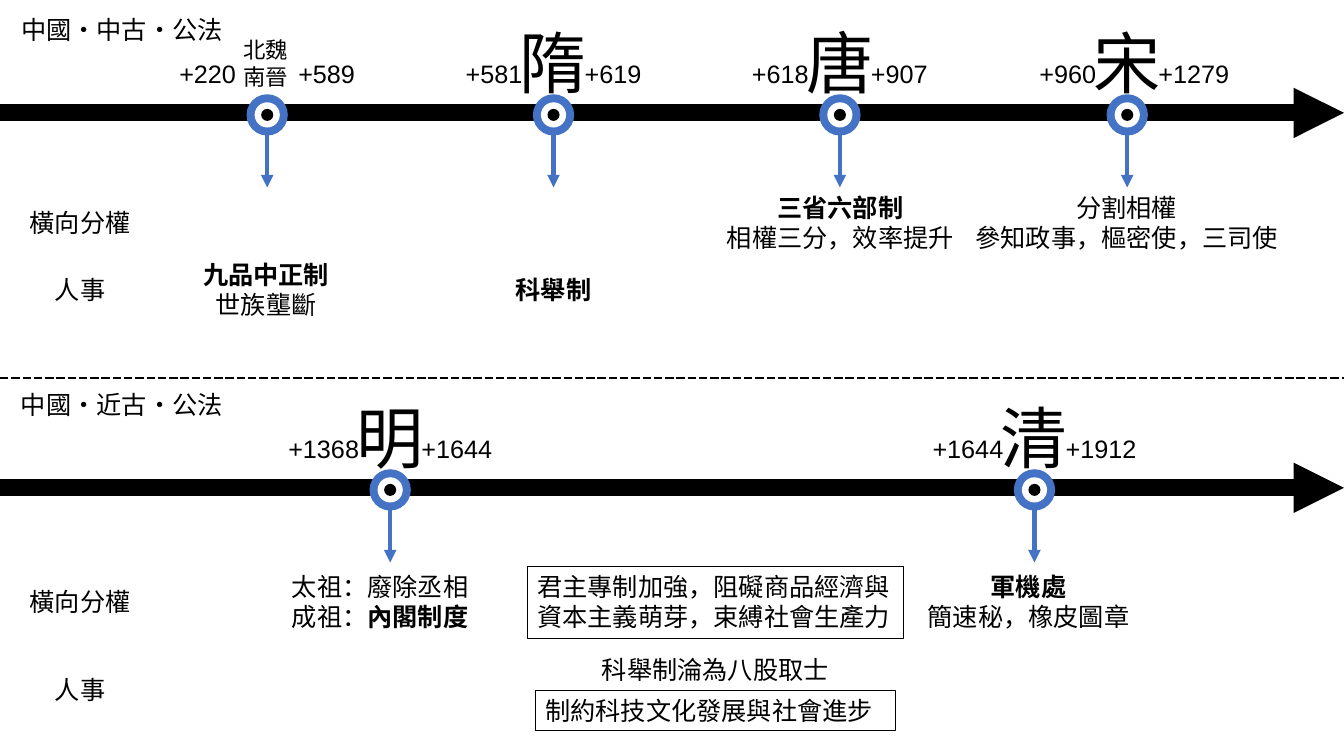
from dataclasses import dataclass

from pptx import Presentation
from pptx.dml.color import RGBColor
from pptx.enum import dml, shapes, text
from pptx.oxml import ns
from pptx.util import Inches, Pt
from lxml import etree

BLACK, WHITE, BLUE = "000000", "FFFFFF", "4472C4"
HAN, LATIN = "Noto Sans CJK SC", "Arial"
WIDTH, HEIGHT = 13.33, 7.5
TEXT_H, RING = 0.4, 0.41
LEFT, CENTER = text.PP_ALIGN.LEFT, text.PP_ALIGN.CENTER


@dataclass
class Dynasty:
    name: str
    start: str
    end: str
    x: float
    axis: float


@dataclass
class Note:
    """Lines are split by a newline, runs by |, and a leading * marks bold."""
    words: str
    x: float
    y: float
    w: float
    boxed: bool = False


UPPER, LOWER = 1.12, 4.84
DYNASTIES = [
    Dynasty("北魏\n南晉", "+220", "+589", 2.65, UPPER),
    Dynasty("隋", "+581", "+619", 5.49, UPPER),
    Dynasty("唐", "+618", "+907", 8.33, UPPER),
    Dynasty("宋", "+960", "+1279", 11.18, UPPER),
    Dynasty("明", "+1368", "+1644", 3.87, LOWER),
    Dynasty("清", "+1644", "+1912", 10.26, LOWER),
]
NOTES = [
    Note("橫向分權", 0.19, 2.01, 1.21),
    Note("*三省六部制\n相權三分，效率提升", 7.1, 1.86, 2.47),
    Note("分割相權\n參知政事，樞密使，三司使", 9.56, 1.86, 3.23),
    Note("人事", 0.44, 2.67, 0.71),
    Note("*九品中正制\n世族壟斷", 1.91, 2.52, 1.46),
    Note("*科舉制", 5.01, 2.67, 0.96),
    Note("橫向分權", 0.19, 5.77, 1.21),
    Note("太祖：廢除丞相\n成祖：|*內閣制度", 2.78, 5.62, 1.98),
    Note("*軍機處\n簡速秘，橡皮圖章", 9.09, 5.62, 2.22),
    Note("人事", 0.44, 6.64, 0.71),
    Note("科舉制淪為八股取士", 5.86, 6.44, 2.47),
    Note("制約科技文化發展與社會進步", 5.31, 6.85, 3.57, True),
    Note("君主專制加強，阻礙商品經濟與\n資本主義萌芽，束縛社會生產力", 5.23, 5.62, 3.73, True),
]


def rgb(color: str) -> RGBColor:
    return RGBColor.from_string(color)


def write(sp, words: str, *, size: float = 18, font: str = HAN,
          align=CENTER, wrap: bool = False) -> None:
    tf = sp.text_frame
    tf.word_wrap = wrap
    tf.auto_size = (text.MSO_AUTO_SIZE.NONE if wrap
                    else text.MSO_AUTO_SIZE.SHAPE_TO_FIT_TEXT)
    tf.vertical_anchor = text.MSO_ANCHOR.TOP
    for i, line in enumerate(words.split("\n")):
        p = tf.add_paragraph() if i else tf.paragraphs[0]
        p.alignment = align
        for part in line.split("|"):
            r = p.add_run()
            r.text = part.lstrip("*")
            r.font.size, r.font.name = Pt(size), font
            r.font.bold = part.startswith("*")
            r.font.color.rgb = rgb(BLACK)
            ea = etree.SubElement(r.font._element, ns.qn("a:ea"))
            ea.set("typeface", font)


def add_text(parent, words: str, x: float, y: float, w: float,
             h: float = TEXT_H, **fmt):
    sp = parent.add_textbox(Inches(x), Inches(y), Inches(w), Inches(h))
    write(sp, words, **fmt)
    return sp


def add_line(parent, x1: float, y1: float, x2: float, y2: float,
             color: str, width: float, arrow: bool = True):
    sp = parent.add_connector(shapes.MSO_CONNECTOR.STRAIGHT, Inches(x1),
                              Inches(y1), Inches(x2), Inches(y2))
    sp.line.color.rgb, sp.line.width = rgb(color), Pt(width)
    if arrow:
        end = etree.SubElement(sp.line._get_or_add_ln(), ns.qn("a:tailEnd"))
        end.set("type", "triangle")
    etree.SubElement(sp._element.spPr, ns.qn("a:effectLst"))
    return sp


def add_disc(parent, x: float, y: float, size: float, color: str) -> None:
    sp = parent.add_shape(shapes.MSO_SHAPE.OVAL, Inches(x - size / 2),
                          Inches(y - size / 2), Inches(size), Inches(size))
    sp.shadow.inherit = False
    sp.fill.solid()
    sp.fill.fore_color.rgb = rgb(color)
    sp.line.fill.background()


def add_dynasty(s, d: Dynasty) -> None:
    group = s.shapes.add_group_shape().shapes
    y = d.axis + 0.02
    add_disc(group, d.x, y, RING, BLUE)
    add_disc(group, d.x, y, 0.25, WHITE)
    add_line(group, d.x, y + 0.13, d.x, y + 0.72, BLUE, 3)
    add_disc(group, d.x, y, 0.12, BLACK)
    # Years sit on either side of the ring
    start_w, end_w = (0.77 if len(t) == 4 else 0.91 for t in (d.start, d.end))
    year_y = d.axis - 0.59
    add_text(group, d.start, d.x - RING / 2 - start_w, year_y, start_w, font=LATIN)
    add_text(group, d.end, d.x + RING / 2, year_y, end_w, font=LATIN)
    if "\n" in d.name:
        add_text(group, d.name, d.x - 0.34, d.axis - 0.81, 0.65, 0.64, size=16)
    else:
        add_text(group, d.name, d.x - 0.44, d.axis - 0.96, 0.88, 0.91, size=48)


def add_note(s, n: Note) -> None:
    h = 0.71 if "\n" in n.words else TEXT_H
    if not n.boxed:
        add_text(s.shapes, n.words, n.x, n.y, n.w, h)
        return
    sp = add_text(s.shapes, n.words, n.x, n.y, n.w, h, align=LEFT, wrap=True)
    sp.line.color.rgb, sp.line.width = rgb(BLACK), Pt(0.75)


def main() -> None:
    prs = Presentation()
    prs.slide_width, prs.slide_height = Inches(WIDTH), Inches(HEIGHT)
    s = prs.slides.add_slide(prs.slide_layouts[5])

    # Period headings
    title = s.shapes.title
    title.left, title.top = Inches(0.11), Inches(0.09)
    title.width, title.height = Inches(2.22), Inches(TEXT_H)
    write(title, "中國·中古·公法", align=LEFT, wrap=True)
    add_text(s.shapes, "中國·近古·公法", 0.11, 3.81, 2.22, align=LEFT, wrap=True)

    # Time axes and the divider between periods
    for axis in (UPPER, LOWER):
        add_line(s.shapes, 0, axis, WIDTH, axis, BLACK, 12)
    divider = add_line(s.shapes, 0, HEIGHT / 2, WIDTH, HEIGHT / 2, BLACK, 2, arrow=False)
    divider.line.dash_style = dml.MSO_LINE.SQUARE_DOT

    # Dynasties and their institutions
    for d in DYNASTIES:
        add_dynasty(s, d)
    for n in NOTES:
        add_note(s, n)

    prs.save("out.pptx")


if __name__ == "__main__":
    main()
